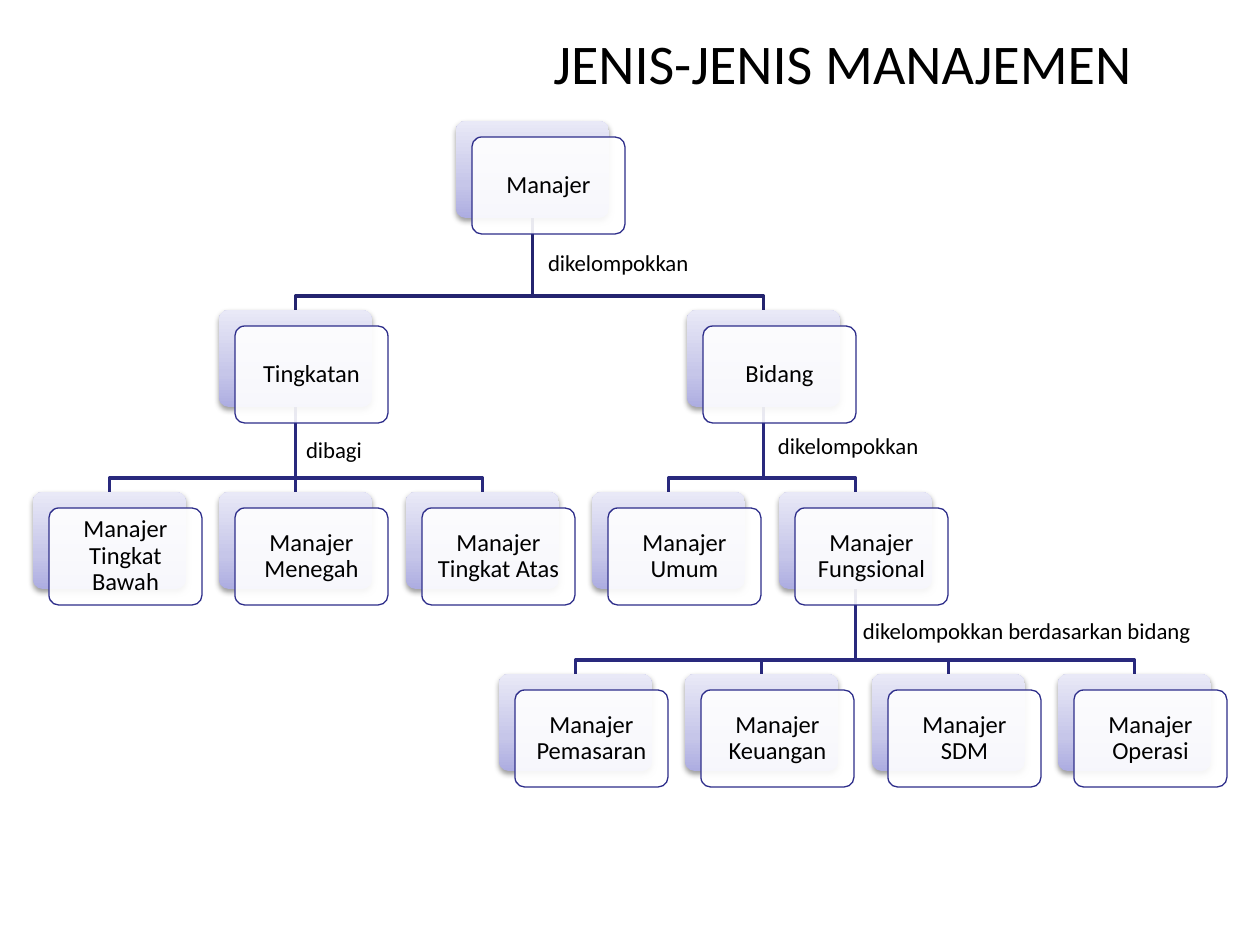
import copy
import pptx
import pptx.util
import pptx.dml.color
import pptx.enum.shapes
import pptx.enum.text
import pptx.oxml
import pptx.oxml.ns

RGBColor = pptx.dml.color.RGBColor
ALIGN = pptx.enum.text.PP_ALIGN
ANCHOR = pptx.enum.text.MSO_ANCHOR
SHAPE = pptx.enum.shapes.MSO_SHAPE
NS = pptx.oxml.ns.nsdecls("a")

BLACK = RGBColor(0x00, 0x00, 0x00)
WHITE = RGBColor(0xFF, 0xFF, 0xFF)
TOP_LINE = RGBColor(0x24, 0x24, 0x6F)
SUB_LINE = RGBColor(0x29, 0x29, 0x7D)
CARD_LINE = RGBColor(0x2D, 0x2D, 0x8A)
GRADIENT = [(0, RGBColor(0xAD, 0xAD, 0xE1)),
            (0.35, RGBColor(0xC6, 0xC6, 0xE9)),
            (1, RGBColor(0xE9, 0xE9, 0xF7))]

SCALE = 914400 / 126  # EMU per px
CARD_W, CARD_H, CARD_OFFSET = 153, 97, 16
BUS_GAP = 14  # from the horizontal branch line down to the child
ROW_TOPS = [121, 310, 492, 674]
ROW3 = [33 + i * 373 // 2 for i in range(5)]
ROW4 = [499 + i * 373 // 2 for i in range(4)]

# Each node: (text, left, children)
TREE = ("Manajer", 456, [
    ("Tingkatan", 219, [
        ("Manajer Tingkat Bawah", ROW3[0], []),
        ("Manajer Menegah", ROW3[1], []),
        ("Manajer Tingkat Atas", ROW3[2], [])]),
    ("Bidang", 687, [
        ("Manajer Umum", ROW3[3], []),
        ("Manajer Fungsional", ROW3[4], [
            ("Manajer Pemasaran", ROW4[0], []),
            ("Manajer Keuangan", ROW4[1], []),
            ("Manajer SDM", ROW4[2], []),
            ("Manajer Operasi", ROW4[3], [])])])])

LABELS = [("dikelompokkan", 535, 243, 336),
          ("dibagi", 293, 430, 336),
          ("dikelompokkan", 765, 426, 442),
          ("dikelompokkan berdasarkan bidang", 850, 611, 442)]


def px(n):
    return round(n * SCALE)


def add_text(s, text, x, y, w, h, size=14, align=ALIGN.LEFT,
             anchor=ANCHOR.TOP, inset=(13, 6), spacing=None):
    tf = s.shapes.add_textbox(px(x), px(y), px(w), px(h)).text_frame
    tf.word_wrap = True
    tf.vertical_anchor = anchor
    tf.margin_left = tf.margin_right = px(inset[0])
    tf.margin_top = tf.margin_bottom = px(inset[1])
    p = tf.paragraphs[0]
    p.alignment = align
    if spacing:
        p.line_spacing = spacing
    r = p.add_run()
    r.text = text
    r.font.size = pptx.util.Pt(size)
    r.font.name = "Calibri"
    r.font.color.rgb = BLACK


def add_effects(sp, inner=""):
    sp._element.spPr.append(pptx.oxml.parse_xml(
        f"<a:effectLst {NS}>{inner}</a:effectLst>"))


def add_rounded(s, x, y):
    sp = s.shapes.add_shape(SHAPE.ROUNDED_RECTANGLE, px(x), px(y), px(CARD_W), px(CARD_H))
    sp.adjustments[0] = 0.1
    return sp


def add_card(s, text, x, y):
    # Shaded plate behind
    sp = add_rounded(s, x, y)
    sp.fill.gradient()
    sp.fill.gradient_angle = 90
    stops = sp._element.spPr.find(".//" + pptx.oxml.ns.qn("a:gsLst"))
    stops.append(copy.deepcopy(stops[0]))
    for stop, (position, color) in zip(sp.fill.gradient_stops, GRADIENT):
        stop.position = position
        stop.color.rgb = color
    sp.line.fill.background()
    add_effects(sp, '<a:outerShdw blurRad="40000" dist="20000" dir="5400000" rotWithShape="0">'
                    '<a:srgbClr val="000000"><a:alpha val="38000"/></a:srgbClr></a:outerShdw>')

    # Translucent card in front
    x, y = x + CARD_OFFSET, y + CARD_OFFSET
    sp = add_rounded(s, x, y)
    sp.shadow.inherit = False
    sp.fill.solid()
    sp.fill.fore_color.rgb = WHITE
    color = sp._element.spPr.find(".//" + pptx.oxml.ns.qn("a:srgbClr"))
    color.append(pptx.oxml.parse_xml(f'<a:alpha {NS} val="90000"/>'))
    sp.line.color.rgb = CARD_LINE
    sp.line.width = pptx.util.Pt(0.75)
    add_text(s, text, x + 3, y + 3, CARD_W - 6, CARD_H - 6, align=ALIGN.CENTER,
             anchor=ANCHOR.MIDDLE, inset=(8, 8), spacing=0.9)


def add_branch(s, x1, y1, x2, y2, color):
    if x1 == x2:
        sp = s.shapes.add_connector(pptx.enum.shapes.MSO_CONNECTOR.STRAIGHT,
                                    px(x1), px(y1), px(x2), px(y2))
        add_line_format(sp, color)
        add_effects(sp)
        return
    bus = y2 - BUS_GAP
    path_builder = s.shapes.build_freeform(px(x1), px(y1))
    path_builder.add_line_segments(
        [(px(x1), px(bus)), (px(x2), px(bus)), (px(x2), px(y2))], close=False)
    sp = path_builder.convert_to_shape()
    sp.fill.background()
    sp.shadow.inherit = False
    add_line_format(sp, color)


def add_line_format(sp, color):
    sp.line.color.rgb = color
    sp.line.width = pptx.util.Pt(2)


def add_branches(s, node, level=0):
    _, left, children = node
    color = SUB_LINE if level else TOP_LINE
    for child in children:
        add_branch(s, left + CARD_W / 2, ROW_TOPS[level] + CARD_H,
                   child[1] + CARD_W / 2, ROW_TOPS[level + 1], color)
        add_branches(s, child, level + 1)


def add_cards(s, node, level=0):
    text, left, children = node
    add_card(s, text, left, ROW_TOPS[level])
    for child in children:
        add_cards(s, child, level + 1)


def main():
    prs = pptx.Presentation()
    prs.slide_width, prs.slide_height = px(1260), px(945)
    s = prs.slides.add_slide(prs.slide_layouts[6])

    # Title
    add_text(s, "JENIS-JENIS MANAJEMEN", 123, 6, 1014, 112, size=32,
             align=ALIGN.RIGHT, anchor=ANCHOR.MIDDLE, inset=(5, 5))

    # Hierarchy: lines behind the cards
    add_branches(s, TREE)
    add_cards(s, TREE)

    # Branch labels
    for text, x, y, w in LABELS:
        add_text(s, text, x, y, w, 40, size=13)

    prs.save("out.pptx")


if __name__ == "__main__":
    main()
